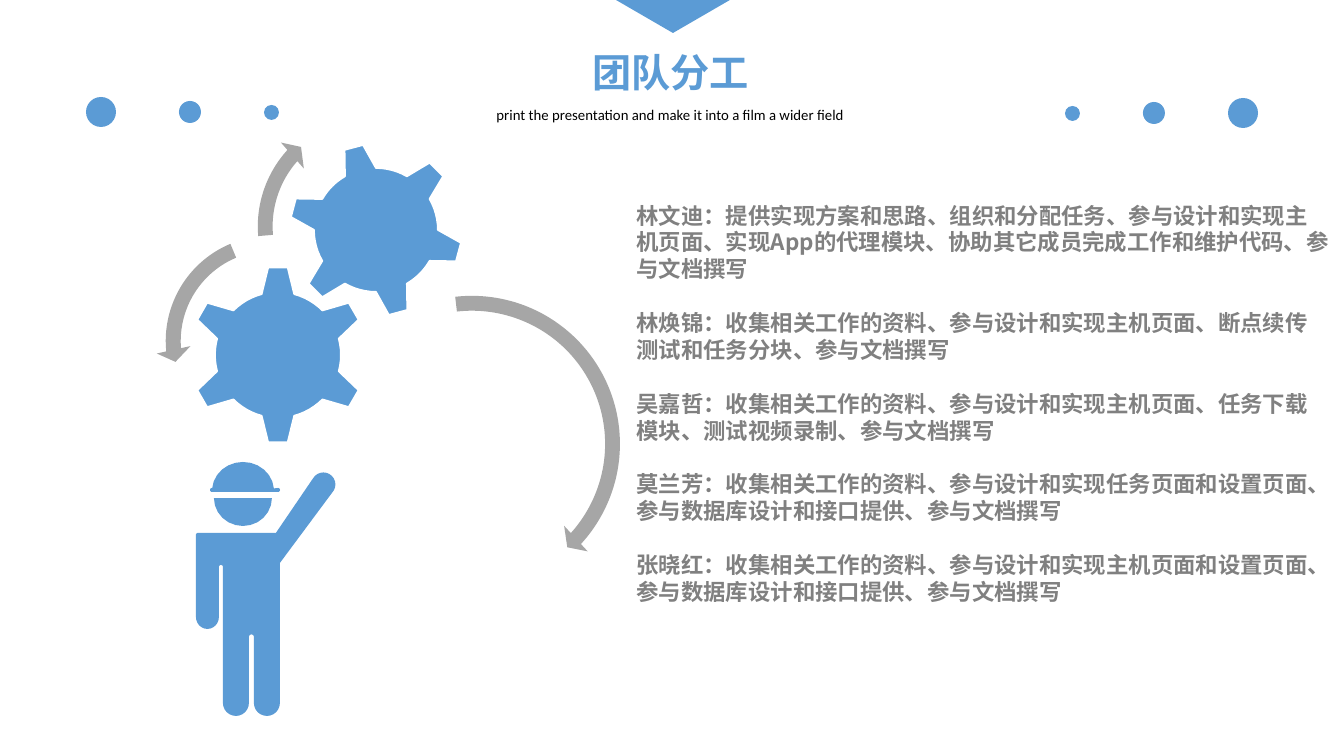
from math import cos, radians, sin

from lxml import etree
from pptx import Presentation
from pptx.dml.color import RGBColor
from pptx.enum.shapes import MSO_SHAPE
from pptx.enum.text import MSO_ANCHOR, MSO_AUTO_SIZE, PP_ALIGN
from pptx.oxml.ns import qn
from pptx.util import Inches, Pt

BLUE = RGBColor(0x5B, 0x9B, 0xD5)
ARROW_GRAY = RGBColor(0xA6, 0xA6, 0xA6)
TEXT_GRAY = RGBColor(0x80, 0x80, 0x80)
WHITE = RGBColor(0xFF, 0xFF, 0xFF)
BLACK = RGBColor(0, 0, 0)
LATIN, CJK = "Calibri", "Noto Sans CJK SC"
OVAL = MSO_SHAPE.OVAL
CLOCKWISE, COUNTER = MSO_SHAPE.CIRCULAR_ARROW, MSO_SHAPE.LEFT_CIRCULAR_ARROW
LEFT, CENTER = PP_ALIGN.LEFT, PP_ALIGN.CENTER
TOP, MIDDLE = MSO_ANCHOR.TOP, MSO_ANCHOR.MIDDLE
NO_FIT = MSO_AUTO_SIZE.NONE
SLIDE_WIDTH, SLIDE_HEIGHT = 1344, 756


def px(length):
    return round(length * 914400 / 134.4)


def arc(cx, cy, rx, ry, start, end, steps=12):
    """Points along an elliptic arc, degrees clockwise from the right."""
    angles = [radians(start + (end - start) * i / steps) for i in range(steps + 1)]
    return [(cx + rx * cos(a), cy + ry * sin(a)) for a in angles]


def write(frame, paragraphs, size=12, color=BLACK, font=LATIN, bold=False,
          align=LEFT, anchor=TOP, insets=(0, 0), line=None, gap=0):
    frame.word_wrap = True
    frame.auto_size = NO_FIT
    frame.vertical_anchor = anchor
    frame.margin_left = frame.margin_right = Inches(insets[0])
    frame.margin_top = frame.margin_bottom = Inches(insets[1])
    for i, text in enumerate(paragraphs):
        paragraph = frame.add_paragraph() if i else frame.paragraphs[0]
        paragraph.alignment = align
        paragraph.space_before, paragraph.space_after = Pt(0), Pt(gap)
        if line:
            paragraph.line_spacing = Pt(line)
        # Plain paragraphs without bullet or hanging indent
        properties = paragraph._p.get_or_add_pPr()
        properties.set("marL", "0")
        properties.set("indent", "0")
        etree.SubElement(properties, qn("a:buNone"))
        run = paragraph.add_run()
        run.text = text
        run.font.size, run.font.bold, run.font.name = Pt(size), bold, font
        run.font.color.rgb = color
        etree.SubElement(run._r.get_or_add_rPr(), qn("a:ea"), typeface=CJK)


class Board:
    def __init__(self, slide, fill=BLUE):
        self.slide, self.fill = slide, fill

    def paint(self, shape, fill=None, outline=None):
        shape.shadow.inherit = False
        shape.fill.solid()
        shape.fill.fore_color.rgb = fill or self.fill
        if outline:
            shape.line.color.rgb = outline
            shape.line.width = Pt(1)
        else:
            shape.line.fill.background()

    def round_shape(self, kind, left, top, size, fill=None, adjustments=()):
        shape = self.slide.shapes.add_shape(kind, px(left), px(top), px(size), px(size))
        for i, value in enumerate(adjustments):
            shape.adjustments[i] = value
        self.paint(shape, fill)

    def outline(self, points, edge=None):
        corners = [(px(x), px(y)) for x, y in points]
        builder = self.slide.shapes.build_freeform(*corners[0], scale=1.0)
        builder.add_line_segments(corners[1:], close=True)
        self.paint(builder.convert_to_shape(), outline=edge)

    def gear(self, cx, cy, body, tip, turn, teeth=6):
        points, step = [], 360 / teeth
        for i in range(teeth):
            middle = turn + i * step
            points += arc(cx, cy, tip, tip, middle - 6.4, middle + 6.4, 1)
            points += arc(cx, cy, body, body, middle + 15, middle + step - 15, 6)
        self.outline(points, WHITE)

    def text(self, holder, box, paragraphs, **style):
        holder.left, holder.top, holder.width, holder.height = map(px, box)
        write(holder.text_frame, paragraphs, **style)


deck = Presentation()
deck.slide_width, deck.slide_height = px(SLIDE_WIDTH), px(SLIDE_HEIGHT)
slide = deck.slides.add_slide(deck.slide_layouts[1])
board = Board(slide)

# Header: dots on both sides and the marker at the top
for left, top, size in [(86, 97, 30), (179, 101, 22), (264, 105, 15)]:
    board.round_shape(OVAL, left, top, size)
    board.round_shape(OVAL, SLIDE_WIDTH - left - size, top + 1, size)
board.outline([(616, 0), (730, 0), (673, 33)])

# Gears and the arrows that turn around them
board.round_shape(CLOCKWISE, 248, 103, 247, ARROW_GRAY,
                  (0.06, 3.94, 133.14, 105.08, 0.07))
board.gear(278, 355, 63, 88, -90)
board.gear(376, 230, 62, 86, -105)
board.round_shape(CLOCKWISE, 314, 286, 316, ARROW_GRAY,
                  (0.047, 2.99, 25.39, 158.12, 0.055))
board.round_shape(COUNTER, 156, 226, 230, ARROW_GRAY,
                  (0.065, 4.3, 104.89, 148.38, 0.075))

# Worker: helmet, face, body
helmet = (arc(243, 491, 31, 29, 185, 355) + arc(278, 490, 2, 2, -90, 90)
          + arc(212, 490, 2, 2, 90, 270))
face = arc(243, 498, 29, 28, 0, 180)
raised_arm = [(276, 533)] + arc(323.5, 484.5, 12, 12, -150, 30) + [(280, 563)]
legs = (arc(267, 703, 13, 13, 0, 180) + arc(251.5, 637, 2.5, 2.5, 0, -180)
        + arc(236, 703, 13, 13, 0, 180))
lowered_arm = arc(221, 567, 2, 2, 0, -180) + arc(207.5, 617, 11.5, 12, 0, 180)
shoulder = arc(198, 535, 2, 2, 180, 270)
for part in (helmet, face, raised_arm + legs + lowered_arm + shoulder):
    board.outline(part)

# Title, subtitle and duties
board.text(slide.shapes.title, (458, 42, 425, 60), ["团队分工"],
           size=21, color=BLUE, bold=True, align=CENTER, anchor=MIDDLE)
subtitle = slide.shapes.add_textbox(0, 0, 0, 0)
board.text(subtitle, (444, 99, 452, 31),
           ["print the presentation and make it into a film a wider field"],
           size=7.9, align=CENTER, anchor=MIDDLE)
duties = [
    "林文迪：提供实现方案和思路、组织和分配任务、参与设计和实现主机页面、"
    "实现App的代理模块、协助其它成员完成工作和维护代码、参与文档撰写",
    "林焕锦：收集相关工作的资料、参与设计和实现主机页面、"
    "断点续传测试和任务分块、参与文档撰写",
    "吴嘉哲：收集相关工作的资料、参与设计和实现主机页面、"
    "任务下载模块、测试视频录制、参与文档撰写",
    "莫兰芳：收集相关工作的资料、参与设计和实现任务页面和设置页面、"
    "参与数据库设计和接口提供、参与文档撰写",
    "张晓红：收集相关工作的资料、参与设计和实现主机页面和设置页面、"
    "参与数据库设计和接口提供、参与文档撰写",
]
board.text(slide.placeholders[1], (623, 195, 720, 421), duties, color=TEXT_GRAY,
           font=CJK, bold=True, insets=(0.1, 0.05), line=14.4, gap=14.4)

deck.save("out.pptx")
